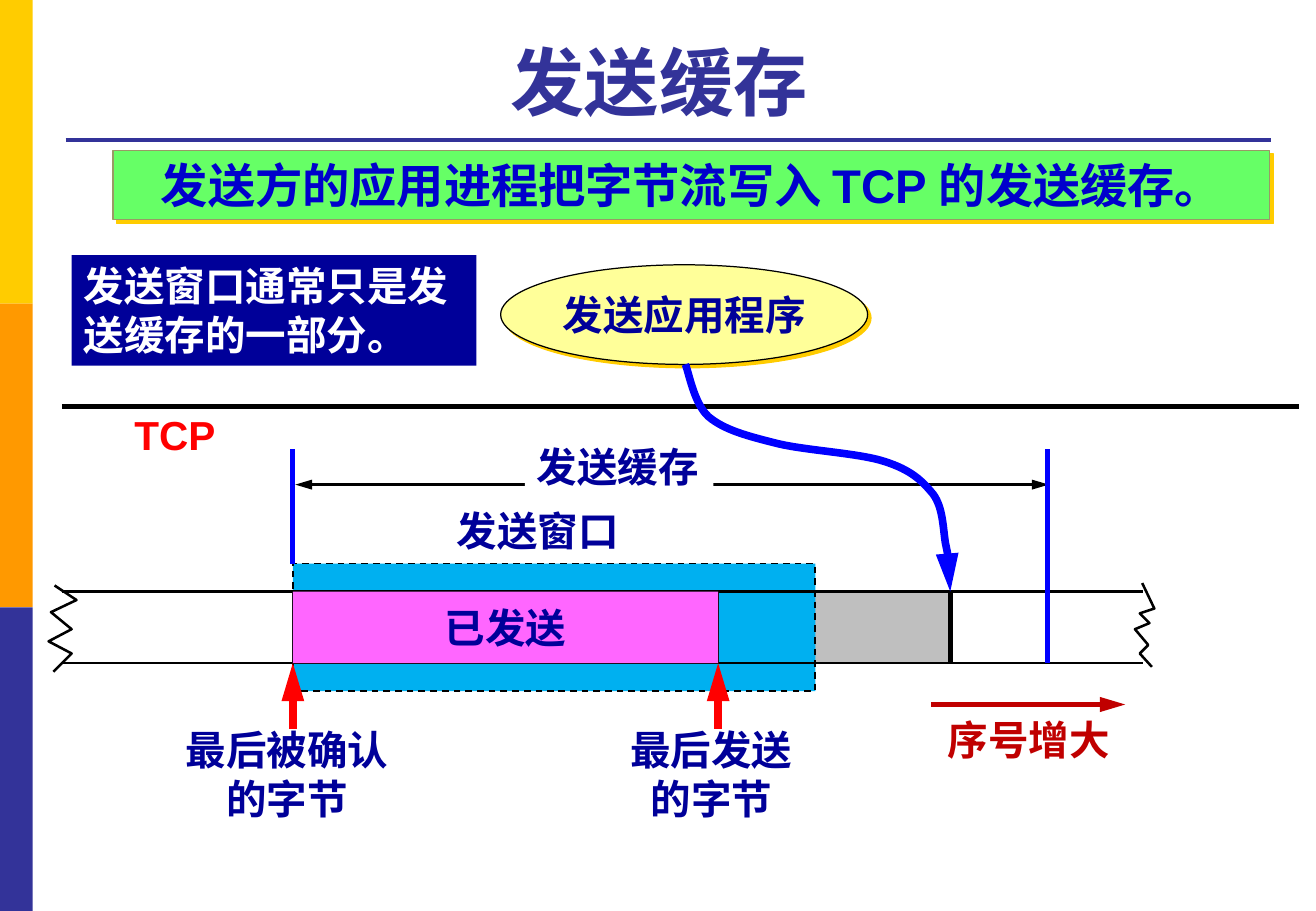
from lxml.etree import SubElement
from pptx import Presentation
from pptx.dml.color import RGBColor
from pptx.enum.dml import MSO_LINE
from pptx.enum.shapes import MSO_CONNECTOR, MSO_SHAPE
from pptx.enum.text import MSO_ANCHOR, MSO_AUTO_SIZE, PP_ALIGN
from pptx.oxml.ns import qn
from pptx.util import Inches, Pt

BLACK = RGBColor(0x00, 0x00, 0x00)
WHITE = RGBColor(0xFF, 0xFF, 0xFF)
GOLD = RGBColor(0xFF, 0xCC, 0x00)
ORANGE = RGBColor(0xFF, 0x99, 0x00)
INDIGO = RGBColor(0x33, 0x33, 0x99)
NAVY = RGBColor(0x00, 0x00, 0x99)
ROYAL = RGBColor(0x00, 0x00, 0xCC)
BLUE = RGBColor(0x00, 0x00, 0xFF)
SKY = RGBColor(0x00, 0xB0, 0xF0)
PINK = RGBColor(0xFF, 0x66, 0xFF)
GRAY = RGBColor(0xBF, 0xBF, 0xBF)
CREAM = RGBColor(0xFF, 0xFF, 0x99)
GREEN = RGBColor(0x66, 0xFF, 0x66)
OLIVE = RGBColor(0x99, 0x99, 0x66)
RED = RGBColor(0xFF, 0x00, 0x00)
MAROON = RGBColor(0xC0, 0x00, 0x00)

ACKED, SENT, WRITTEN, LIMIT = 2.41, 5.91, 7.82, 8.62
TOP, BOTTOM = 4.87, 5.46
LEFT_TEAR = [(0.45, 4.82), (0.63, 4.94), (0.42, 5.04), (0.59, 5.18),
             (0.4, 5.28), (0.59, 5.38), (0.44, 5.53)]
RIGHT_TEAR = [(9.4, 4.8), (9.5, 5.01), (9.38, 5.05), (9.46, 5.13),
              (9.34, 5.18), (9.45, 5.31), (9.38, 5.38), (9.48, 5.49)]
WRITE_CURVE = [(5.64, 3),
               (5.67, 3.07), (5.71, 3.32), (5.83, 3.43),
               (5.96, 3.54), (6.15, 3.59), (6.39, 3.65),
               (6.63, 3.71), (7.07, 3.73), (7.28, 3.8),
               (7.5, 3.87), (7.59, 3.96), (7.68, 4.07),
               (7.76, 4.18), (7.76, 4.34), (7.78, 4.47),
               (7.81, 4.61), (7.81, 4.79), (7.82, 4.87)]


def write(shape, text, size=24, color=NAVY, align=PP_ALIGN.CENTER,
          anchor=MSO_ANCHOR.TOP, wrap=False):
    frame = shape.text_frame
    frame.text = text
    frame.auto_size = MSO_AUTO_SIZE.NONE
    frame.word_wrap = wrap
    frame.vertical_anchor = anchor
    for para in frame.paragraphs:
        para.alignment = align
        font = para.runs[0].font
        font.name = "Arial"
        font.size = Pt(size)
        font.bold = True
        font.color.rgb = color


def place(shape, box):
    shape.left, shape.top, shape.width, shape.height = map(Inches, box)


def label(slide, box, text, **style):
    write(slide.shapes.add_textbox(*map(Inches, box)), text, **style)


def block(slide, box, fill, line=None, width=0.75, kind=MSO_SHAPE.RECTANGLE):
    shape = slide.shapes.add_shape(kind, *map(Inches, box))
    shape.shadow.inherit = False
    shape.fill.solid()
    shape.fill.fore_color.rgb = fill
    if line is None:
        shape.line.fill.background()
    else:
        stroke(shape, line, width)
    return shape


def shade(shape):
    effects = shape._element.spPr.find(qn("a:effectLst"))
    shadow = SubElement(effects, qn("a:outerShdw"), dist=str(Pt(2.8)),
                        dir="2700000", algn="ctr", rotWithShape="0")
    SubElement(shadow, qn("a:srgbClr"), val=str(GOLD))


def stroke(shape, color, width, ends=()):
    shape.line.color.rgb = color
    shape.line.width = Pt(width)
    for end in ends:
        SubElement(shape.line._get_or_add_ln(), qn(f"a:{end}"),
                   type="triangle", w="med", len="lg")


def rule(slide, start, stop, color=BLACK, width=1.5, ends=()):
    line = slide.shapes.add_connector(
        MSO_CONNECTOR.STRAIGHT, *map(Inches, (*start, *stop)))
    stroke(line, color, width, ends)
    SubElement(line._element.spPr, qn("a:effectLst"))


def trace(slide, points, color=BLACK, width=1.5, ends=()):
    spots = [(Inches(x), Inches(y)) for x, y in points]
    pen = slide.shapes.build_freeform(*spots[0])
    pen.add_line_segments(spots[1:], close=False)
    shape = pen.convert_to_shape()
    shape.shadow.inherit = False
    shape.fill.background()
    stroke(shape, color, width, ends)
    return shape


def bend(shape):
    route = next(shape._element.iter(qn("a:path")))
    steps = route.findall(qn("a:lnTo"))
    for first in range(0, len(steps), 3):
        curve = SubElement(route, qn("a:cubicBezTo"))
        for step in steps[first:first + 3]:
            curve.append(step[0])
            route.remove(step)


def frame(slide):
    for row, color in enumerate((GOLD, ORANGE, INDIGO)):
        block(slide, (0, 2.5 * row, 0.27, 2.5), color)
    rule(slide, (0.54, 1.15), (10.46, 1.15), INDIGO, 2.25)
    title = slide.shapes.title
    place(title, (0.54, 0.21, 9.91, 0.87))
    write(title, "发送缓存 ", size=44, color=INDIGO,
          anchor=MSO_ANCHOR.BOTTOM, wrap=True)


def notes(slide):
    banner = block(slide, (0.93, 1.24, 9.52, 0.57), GREEN, OLIVE)
    shade(banner)
    write(banner, "发送方的应用进程把字节流写入 TCP 的发送缓存。",
          size=28, color=ROYAL, wrap=True)
    remark = block(slide, (0.59, 2.1, 3.33, 0.91), NAVY)
    write(remark, "发送窗口通常只是发送缓存的一部分。",
          color=WHITE, align=PP_ALIGN.LEFT, wrap=True)
    sender = block(slide, (4.12, 2.18, 3.02, 0.82), CREAM, BLACK,
                   kind=MSO_SHAPE.OVAL)
    shade(sender)
    write(sender, "发送应用程序", anchor=MSO_ANCHOR.MIDDLE)
    rule(slide, (0.51, 3.35), (10.69, 3.35), width=3)
    label(slide, (1, 3.33, 0.88, 0.5), "TCP", color=RED)


def buffer(slide):
    rule(slide, (2.43, 3.99), (8.63, 3.99), ends=("headEnd", "tailEnd"))
    name = block(slide, (4.32, 3.59, 1.55, 0.5), WHITE)
    write(name, "发送缓存", align=PP_ALIGN.LEFT)
    high = BOTTOM - TOP
    block(slide, (SENT, TOP, WRITTEN - SENT, high), GRAY)
    window = block(slide, (ACKED, 4.64, 4.3, 1.05), SKY, BLACK, 1)
    window.line.dash_style = MSO_LINE.DASH
    label(slide, (3.66, 4.12, 1.55, 0.5), "发送窗口", align=PP_ALIGN.LEFT)
    for y in (TOP, BOTTOM):
        rule(slide, (0.51, y), (9.41, y))
    for x, width in ((ACKED, 0.75), (SENT, 0.75), (WRITTEN, 3)):
        rule(slide, (x, TOP), (x, BOTTOM), width=width)
    sent = block(slide, (ACKED, TOP, SENT - ACKED, high), PINK)
    write(sent, "已发送", anchor=MSO_ANCHOR.MIDDLE)
    for x, stop in ((ACKED, 4.64), (LIMIT, BOTTOM)):
        rule(slide, (x, 3.7), (x, stop), BLUE, 3)
    for tear in (LEFT_TEAR, RIGHT_TEAR):
        trace(slide, tear)


def marks(slide):
    for x, left, width, text in (
            (ACKED, 1.42, 1.88, "最后被确认\n的字节"),
            (SENT, 5.08, 1.55, "最后发送\n的字节")):
        label(slide, (left, 5.92, width, 0.91), text)
        rule(slide, (x, 6), (x, BOTTOM), RED, 4.5, ("tailEnd",))
    bend(trace(slide, WRITE_CURVE, BLUE, 4.5, ("tailEnd",)))
    rule(slide, (7.66, 5.8), (9.26, 5.8), MAROON, 3, ("tailEnd",))
    label(slide, (7.69, 5.84, 1.55, 0.5), "序号增大", color=MAROON)


def main():
    deck = Presentation()
    deck.slide_width, deck.slide_height = Inches(10.83), Inches(7.5)
    slide = deck.slides.add_slide(deck.slide_layouts[5])
    for draw in (frame, notes, buffer, marks):
        draw(slide)
    deck.save("out.pptx")


if __name__ == "__main__":
    main()
